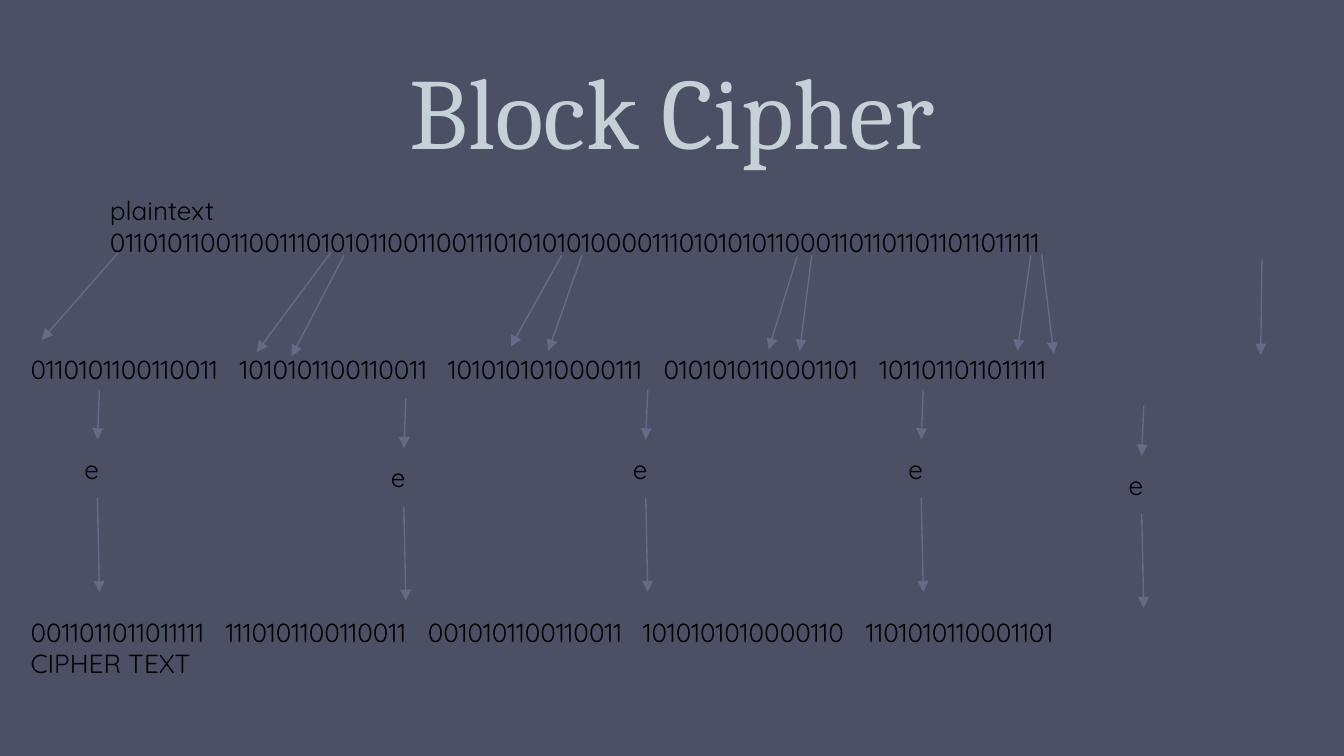
from dataclasses import dataclass
from pptx import Presentation
from pptx.dml.color import RGBColor as Rgb
from pptx.enum.shapes import MSO_CONNECTOR as Conn
from pptx.enum.text import MSO_ANCHOR as Anchor, MSO_AUTO_SIZE as Auto, PP_ALIGN as Align
from pptx.oxml.ns import qn
from pptx.util import Pt
from lxml.etree import SubElement as Sub

SCALE = 4572


@dataclass(frozen=True)
class Theme:
    back: str = "4B5064"
    head: str = "C5D1D7"
    ink: str = "000000"
    line: str = "646B86"
    serif: str = "Cambria"
    sans: str = "Quicksand"
    large: int = 54
    body: int = 14
    rule: float = 0.75


THEME = Theme()


def px(*vals):
    return [val * SCALE for val in vals]


def style(para, face, size, color):
    for run in para.runs:
        run.font.name = face
        run.font.size = Pt(size)
        run.font.color.rgb = Rgb.from_string(color)


def add_text(slide, box, text, stops=()):
    shape = slide.shapes.add_textbox(*px(*box))
    frame = shape.text_frame
    frame.word_wrap = True
    frame.auto_size = Auto.SHAPE_TO_FIT_TEXT
    pad = px(20)[0]
    frame.margin_left = frame.margin_right = pad
    frame.margin_top = frame.margin_bottom = pad
    frame.text = text
    for para in frame.paragraphs:
        style(para, THEME.sans, THEME.body, THEME.ink)
    if stops:
        props = frame.paragraphs[0]._p.get_or_add_pPr()
        tabs = Sub(props, qn("a:tabLst"))
        for stop in px(*stops):
            Sub(tabs, qn("a:tab"), pos=str(stop), algn="l")
    return shape


def add_arrow(slide, start, end):
    arrow = slide.shapes.add_connector(Conn.STRAIGHT, *px(*start, *end))
    arrow.line.color.rgb = Rgb.from_string(THEME.line)
    arrow.line.width = Pt(THEME.rule)
    Sub(arrow.line._get_or_add_ln(), qn("a:tailEnd"), type="triangle")
    Sub(arrow._element.spPr, qn("a:effectLst"))
    return arrow


def add_title(slide, box, text):
    title = slide.shapes.title
    title.left, title.top, title.width, title.height = px(*box)
    frame = title.text_frame
    frame.auto_size = Auto.NONE
    frame.word_wrap = True
    frame.vertical_anchor = Anchor.BOTTOM
    frame.text = text
    para = frame.paragraphs[0]
    para.alignment = Align.CENTER
    para.line_spacing = 3.22
    style(para, THEME.serif, THEME.large, THEME.head)


def add_blocks(slide, box, blocks, stops, label=None):
    lines = ["\t".join(blocks)] + ([label] if label else [])
    add_text(slide, box, "\n".join(lines), stops)


def add_split(slide, box, arrows):
    left, top = box[:2]
    for x1, y1, x2, y2 in arrows:
        add_arrow(slide, (left + x1, top + y1), (left + x2, top + y2))


def add_step(slide, box):
    left, top, wide, high = box
    mid, side = left + wide // 2, left + 42
    step = add_text(slide, box, "e")
    enter = add_arrow(slide, (side, top - 74), (mid, top))
    enter.end_connect(step, 0)
    leave = add_arrow(slide, (mid, top + high), (side, top + high + 140))
    leave.begin_connect(step, 2)


def main():
    deck = Presentation()
    deck.slide_width, deck.slide_height = px(2000, 1125)
    slide = deck.slides.add_slide(deck.slide_layouts[5])
    fill = slide.background.fill
    fill.solid()
    fill.fore_color.rgb = Rgb.from_string(THEME.back)

    add_title(slide, (100, 0, 1800, 262), "Block Cipher")
    plain = ["0110101100110011", "1010101100110011", "1010101010000111",
             "0101010110001101", "1011011011011111"]
    cipher = ["0011011011011111", "1110101100110011", "0010101100110011",
              "1010101010000110", "1101010110001101"]
    bits = "01101011001100111010101100110011101010101000011101010101100011011011011011011111"
    add_text(slide, (144, 270, 1800, 134), "plaintext\n" + bits)
    add_blocks(slide, (26, 506, 1948, 88), plain, (311, 621, 942, 1263))
    add_split(slide, (62, 376, 1816, 152), [
        (114, 0, 0, 130), (430, 0, 320, 148), (450, 4, 372, 154),
        (774, 4, 698, 140), (1124, 6, 1082, 144), (804, 4, 754, 146),
        (1146, 4, 1128, 146), (1472, 4, 1452, 146), (1488, 2, 1506, 150),
        (1816, 10, 1814, 152)])
    for left, top in [(106, 654), (562, 667), (922, 654), (1332, 654), (1660, 678)]:
        add_step(slide, (left, top, 78, 87))
    add_blocks(slide, (26, 897, 1948, 182), cipher, (290, 591, 911, 1243), "CIPHER TEXT")
    deck.save("out.pptx")


if __name__ == "__main__":
    main()
